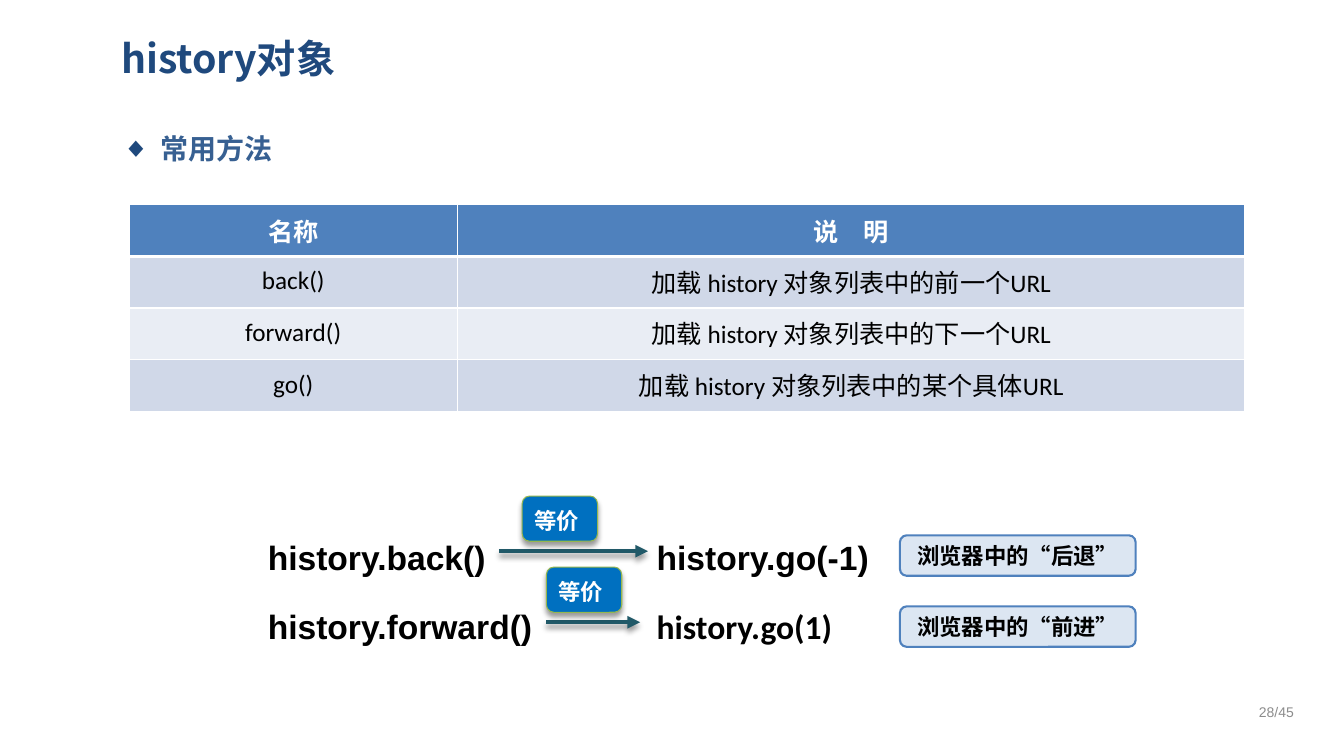
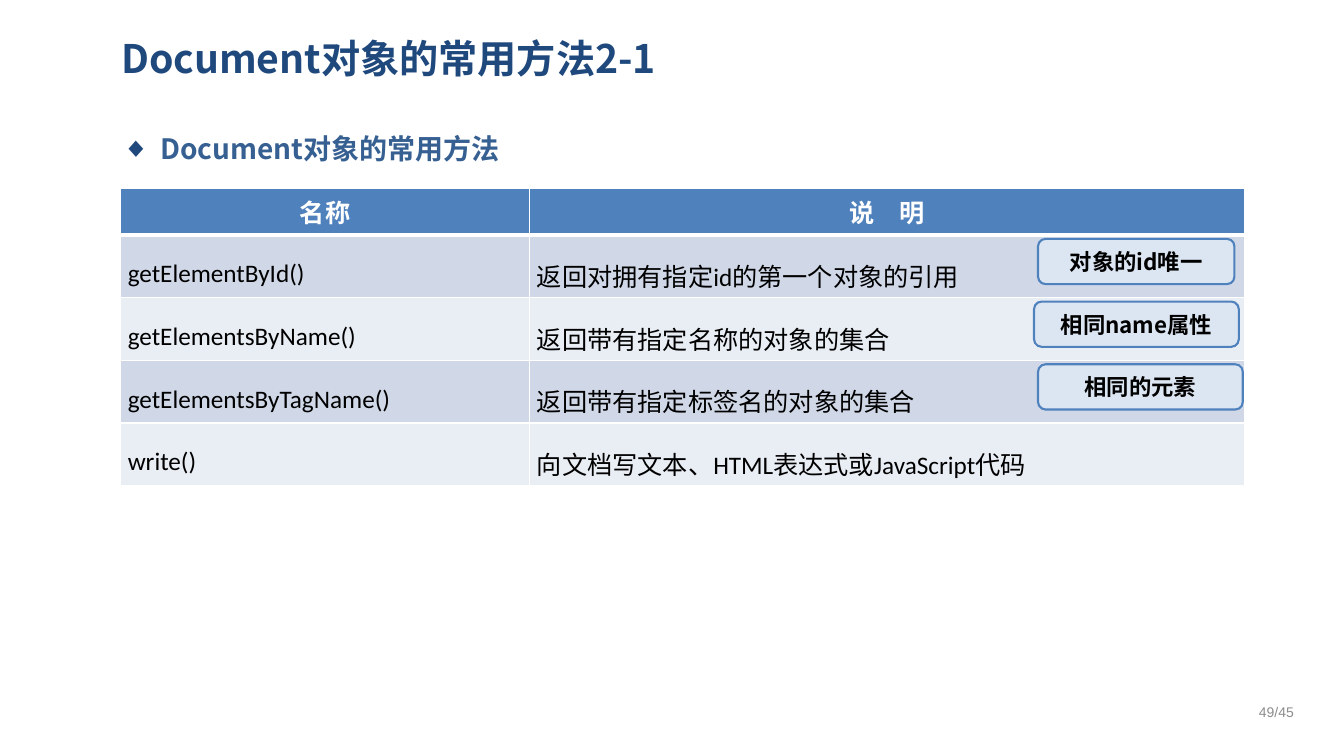
from lxml.etree import SubElement
from pptx import Presentation
from pptx.dml.color import RGBColor
from pptx.enum.shapes import MSO_CONNECTOR, MSO_SHAPE
from pptx.enum.text import MSO_ANCHOR, MSO_AUTO_SIZE, PP_ALIGN
from pptx.oxml import parse_xml
from pptx.oxml.ns import nsdecls, qn
from pptx.util import Cm, Pt

COLORS = {
    "title": "1F497D", "topic": "376092", "number": "8C8C8C",
    "white": "FFFFFF", "black": "000000", "header": "4F81BD",
    "band_dark": "D0D8E8", "band_light": "E9EDF4", "tag": "DCE6F2",
    "callout": "0070C0", "callout_line": "95B74F", "arrow": "215968",
}
CJK = "Noto Sans CJK SC"
LATIN = "Calibri"
CODE = "Arial"


def color(name):
    return RGBColor.from_string(COLORS[name])


def format_text(para, size, tint, font=CJK, bold=False):
    for span in para.runs:
        span.font.size = Pt(size)
        span.font.bold = bold
        span.font.name = font
        span.font.color.rgb = color(tint)
        SubElement(span.font._element, qn("a:ea")).set("typeface", CJK)


def place(shape, left, top, width, height):
    shape.left, shape.top = Cm(left), Cm(top)
    shape.width, shape.height = Cm(width), Cm(height)


def add_bullet(para, symbol, tint, indent):
    properties = para._p.get_or_add_pPr()
    properties.set("marL", str(Cm(indent)))
    properties.set("indent", str(-Cm(indent)))
    bullet_color = SubElement(properties, qn("a:buClr"))
    SubElement(bullet_color, qn("a:srgbClr")).set("val", COLORS[tint])
    SubElement(properties, qn("a:buFont")).set("typeface", CODE)
    SubElement(properties, qn("a:buChar")).set("char", symbol)


def add_shadow(shape):
    shape._element.spPr.append(parse_xml(
        f'<a:effectLst {nsdecls("a")}>'
        f'<a:outerShdw blurRad="{Pt(4)}" dist="{Pt(3)}" dir="5400000" rotWithShape="0">'
        f'<a:srgbClr val="{COLORS["black"]}"><a:alpha val="40000"/></a:srgbClr>'
        '</a:outerShdw></a:effectLst>'))


def add_page(deck, title, topic, number):
    page = deck.slides.add_slide(deck.slide_layouts[1])
    heading, body = page.placeholders
    place(heading, 2.8, 0.6, 29.6, 1.7)
    place(body, 2.82, 3.02, 29.6, 1.6)
    for holder, text in ((heading, title), (body, topic)):
        holder.text_frame.text = text
        holder.text_frame.auto_size = MSO_AUTO_SIZE.NONE
    heading.text_frame.vertical_anchor = MSO_ANCHOR.MIDDLE
    para = heading.text_frame.paragraphs[0]
    para.alignment = PP_ALIGN.LEFT
    format_text(para, 28, "title", bold=True)

    para = body.text_frame.paragraphs[0]
    add_bullet(para, "◆", "title", 0.96)
    para.line_spacing = 1.2
    para.space_before = Pt(0)
    format_text(para, 20, "topic", bold=True)

    box = page.shapes.add_textbox(Cm(31.34), Cm(17.42), Cm(1.65), Cm(1.02))
    box.text_frame.text = number
    box.text_frame.vertical_anchor = MSO_ANCHOR.MIDDLE
    box.text_frame.word_wrap = True
    para = box.text_frame.paragraphs[0]
    para.alignment = PP_ALIGN.CENTER
    format_text(para, 10, "number", CODE)
    return page


def set_borders(cell, row_index):
    properties = cell._tc.get_or_add_tcPr()
    thick_side = {0: "lnB", 1: "lnT"}.get(row_index)
    for side in ("lnL", "lnR", "lnT", "lnB"):
        line = SubElement(properties, qn(f"a:{side}"), w=str(Pt(3 if side == thick_side else 1)))
        fill = SubElement(line, qn("a:solidFill"))
        SubElement(fill, qn("a:srgbClr")).set("val", COLORS["white"])


def add_table(page, left, top, widths, header_height, row_height, methods,
              alignment, line_spacing, bottom_margin):
    rows = [("名称", "说　明"), *methods]
    height = header_height + row_height * len(methods)
    table = page.shapes.add_table(len(rows), len(widths), Cm(left), Cm(top),
                                  Cm(sum(widths)), Cm(height)).table
    for column, width in zip(table.columns, widths):
        column.width = Cm(width)
    for row_index, texts in enumerate(rows):
        is_header = row_index == 0
        table.rows[row_index].height = Cm(header_height if is_header else row_height)
        band = "header" if is_header else ("band_light", "band_dark")[row_index % 2]
        for column_index, text in enumerate(texts):
            cell = table.cell(row_index, column_index)
            cell.text_frame.text = text
            cell.vertical_anchor = MSO_ANCHOR.MIDDLE
            set_borders(cell, row_index)
            cell.fill.solid()
            cell.fill.fore_color.rgb = color(band)
            para = cell.text_frame.paragraphs[0]
            para.alignment = PP_ALIGN.CENTER if is_header else alignment
            if not is_header:
                para.line_spacing = line_spacing
                cell.margin_left = cell.margin_right = Cm(0.18)
                cell.margin_top, cell.margin_bottom = Cm(0), Cm(bottom_margin)
            format_text(para, 18, "white" if is_header else "black", LATIN, is_header)


def add_code(page, left, width, lines):
    box = page.shapes.add_textbox(Cm(left), Cm(12.9), Cm(width), Cm(3.6))
    frame = box.text_frame
    frame.word_wrap = True
    for index, (text, font) in enumerate(lines):
        para = frame.add_paragraph() if index else frame.paragraphs[0]
        para.text = text
        para.line_spacing = 1.5
        para.space_before = Pt(6 if index else 0)
        format_text(para, 24, "black", font, True)


def add_label(page, preset, bounds, text, fill, line, line_width, tint):
    shape = page.shapes.add_shape(preset, *map(Cm, bounds))
    shape.shadow.inherit = False
    shape.fill.solid()
    shape.fill.fore_color.rgb = color(fill)
    shape.line.color.rgb = color(line)
    shape.line.width = Pt(line_width)
    frame = shape.text_frame
    frame.text = text
    frame.word_wrap = False
    frame.vertical_anchor = MSO_ANCHOR.MIDDLE
    frame.paragraphs[0].alignment = PP_ALIGN.CENTER
    format_text(frame.paragraphs[0], 16, tint, bold=True)
    return shape


def add_tag(page, preset, bounds, text):
    add_label(page, preset, bounds, text, "tag", "header", 1.5, "black")


def add_callout(page, left, top):
    shape = add_label(page, MSO_SHAPE.ROUNDED_RECTANGULAR_CALLOUT, (left, top, 1.9, 1.14),
                      "等价", "callout", "callout_line", 0.75, "white")
    shape.adjustments[0], shape.adjustments[1] = -0.5, 0
    shape.text_frame.vertical_anchor = MSO_ANCHOR.BOTTOM
    shape.text_frame.paragraphs[0].alignment = PP_ALIGN.LEFT
    properties = shape._element.spPr
    properties.remove(properties.find(qn("a:effectLst")))
    add_shadow(shape)


def add_arrow(page, start, end, height):
    arrow = page.shapes.add_connector(MSO_CONNECTOR.STRAIGHT, Cm(start), Cm(height),
                                      Cm(end), Cm(height))
    arrow.line.color.rgb = color("arrow")
    arrow.line.width = Pt(3)
    SubElement(arrow.line._get_or_add_ln(), qn("a:tailEnd")).set("type", "triangle")
    add_shadow(arrow)


def add_history_page(deck):
    page = add_page(deck, "history对象", "常用方法", "28/45")
    methods = [
        ("back()", "加载 history 对象列表中的前一个URL"),
        ("forward()", "加载 history 对象列表中的下一个URL"),
        ("go()", "加载 history 对象列表中的某个具体URL"),
    ]
    add_table(page, 3.25, 5.16, (8.28, 19.84), 1.3, 1.3, methods, PP_ALIGN.CENTER, 1, 0.05)
    add_code(page, 6.5, 8, [("history.back()", CODE), ("history.forward()", CODE)])
    add_code(page, 16.3, 6.4, [("history.go(-1)", CODE), ("history.go(1)", LATIN)])
    equivalents = [
        (12.57, 16.33, 13.16, "浏览器中的“后退”"),
        (13.77, 16.13, 13.77, "浏览器中的“前进”"),
    ]
    for index, (start, end, callout_left, tag) in enumerate(equivalents):
        height = 13.89 + 1.79 * index
        add_arrow(page, start, end, height)
        add_callout(page, callout_left, height - 1.39)
        add_tag(page, MSO_SHAPE.ROUNDED_RECTANGLE, (22.68, height - 0.4, 5.94, 1.02), tag)


def add_document_page(deck):
    page = add_page(deck, "Document对象的常用方法2-1", "Document对象的常用方法", "49/45")
    methods = [
        ("getElementById()", "返回对拥有指定id的第一个对象的引用"),
        ("getElementsByName()", "返回带有指定名称的对象的集合"),
        ("getElementsByTagName()", "返回带有指定标签名的对象的集合"),
        ("write()", "向文档写文本、HTML表达式或JavaScript代码"),
    ]
    add_table(page, 3.04, 4.75, (10.31, 18.01), 1.17, 1.58, methods, PP_ALIGN.LEFT, 1.5, 0)
    tags = [(26.16, 4.95, "对象的id唯一"), (26.06, 5.16, "相同name属性"),
            (26.16, 5.16, "相同的元素")]
    for index, (left, width, text) in enumerate(tags):
        add_tag(page, MSO_SHAPE.FLOWCHART_ALTERNATE_PROCESS,
                (left, 6.02 + 1.58 * index, width, 1.14), text)


def main():
    deck = Presentation()
    deck.slide_width, deck.slide_height = Cm(33.87), Cm(19.05)
    add_history_page(deck)
    add_document_page(deck)
    deck.save("out.pptx")


if __name__ == "__main__":
    main()
